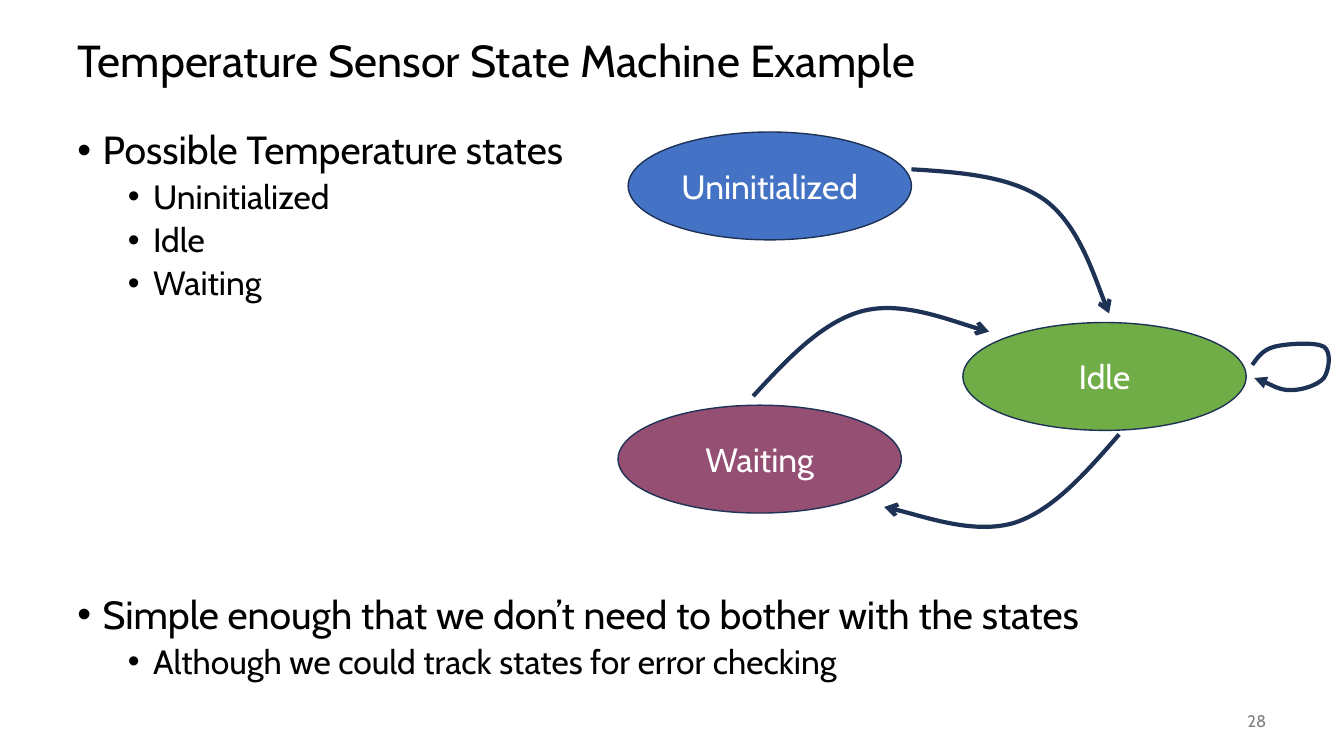
import pptx
import pptx.util
import pptx.dml.color
import pptx.enum.shapes
import pptx.enum.text
import pptx.oxml
import pptx.oxml.ns
from lxml import etree

Inches = pptx.util.Inches
Pt = pptx.util.Pt
RGBColor = pptx.dml.color.RGBColor
ALIGN = pptx.enum.text.PP_ALIGN
MIDDLE = pptx.enum.text.MSO_ANCHOR.MIDDLE
qn = pptx.oxml.ns.qn

BLACK = RGBColor(0x00, 0x00, 0x00)
WHITE = RGBColor(0xFF, 0xFF, 0xFF)
GRAY = RGBColor(0x80, 0x80, 0x80)
NAVY = RGBColor(0x1E, 0x32, 0x56)
BLUE = RGBColor(0x44, 0x72, 0xC4)
GREEN = RGBColor(0x70, 0xAD, 0x47)
PLUM = RGBColor(0x95, 0x4F, 0x72)

FONT = "Cabin"

POINTS = [
    ("Possible Temperature states", 0, 0),
    ("Uninitialized", 1, 5),
    ("Idle", 1, 5),
    ("Waiting", 1, 5),
    ("Simple enough that we don’t need to bother with the states", 0, 209),
    ("Although we could track states for error checking", 1, 5),
]

STATES = [
    ("Uninitialized", 6.23, 1.31, BLUE),
    ("Idle", 9.55, 3.2, GREEN),
    ("Waiting", 6.13, 4.02, PLUM),
]

CURVES = [
    ("arrow", [(9.04, 1.68), (9.54, 1.71), (10.04, 1.75), (10.37, 1.99),
               (10.69, 2.23), (10.9, 2.87), (11, 3.11)]),
    ("arrow", [(11.1, 4.31), (10.77, 4.69), (10.44, 5.07), (10.05, 5.19),
               (9.66, 5.3), (9.03, 5.08), (8.77, 5.03)]),
    ("arrow", [(7.47, 3.93), (7.81, 3.56), (8.15, 3.2), (8.54, 3.09),
               (8.93, 2.98), (9.56, 3.23), (9.81, 3.29)]),
    ("triangle", [(12.42, 3.62), (12.47, 3.55), (12.52, 3.47), (12.64, 3.44),
                  (12.75, 3.41), (13.05, 3.39), (13.13, 3.44),
                  (13.21, 3.49), (13.18, 3.68), (13.13, 3.75),
                  (13.07, 3.82), (12.92, 3.87), (12.8, 3.87),
                  (12.69, 3.87), (12.54, 3.78), (12.44, 3.75)]),
]


def style(para, size, color, align=ALIGN.LEFT):
    para.alignment = align
    for run in para.runs:
        run.font.name = FONT
        run.font.size = Pt(size)
        run.font.color.rgb = color


def add_box(slide, left, top, width, height):
    box = slide.shapes.add_textbox(
        Inches(left), Inches(top), Inches(width), Inches(height))
    box.text_frame.word_wrap = True
    return box.text_frame


def add_label(slide, text, place, size, color, align, pitch):
    frame = add_box(slide, *place)
    frame.vertical_anchor = MIDDLE
    frame.text = text
    para = frame.paragraphs[0]
    para.line_spacing = pitch
    style(para, size, color, align)


def add_bullet(para, level):
    props = para._p.get_or_add_pPr()
    props.set("marL", str(Inches(0.25 + 0.5 * level)))
    props.set("indent", str(Inches(-0.25)))
    font = etree.SubElement(props, qn("a:buFont"))
    font.set("typeface", "Arial")
    mark = etree.SubElement(props, qn("a:buChar"))
    mark.set("char", "•")


def add_list(slide, items):
    frame = add_box(slide, 0.67, 1.25, 12, 5.86)
    frame.text = "\n".join(text for text, _, _ in items)
    for para, (_, level, space) in zip(frame.paragraphs, items):
        add_bullet(para, level)
        para.level = level
        para.line_spacing = 0.9
        para.space_before = Pt(space)
        style(para, 28 - 4 * level, BLACK)


def add_state(slide, name, left, top, fill):
    oval = slide.shapes.add_shape(
        pptx.enum.shapes.MSO_SHAPE.OVAL,
        Inches(left), Inches(top), Inches(2.81), Inches(1.07))
    oval.shadow.inherit = False
    oval.fill.solid()
    oval.fill.fore_color.rgb = fill
    oval.line.color.rgb = NAVY
    oval.line.width = Pt(1)
    frame = oval.text_frame
    frame.vertical_anchor = MIDDLE
    frame.text = name
    style(frame.paragraphs[0], 24, WHITE, ALIGN.CENTER)


def bend(curve):
    legs = list(curve._element.iter(qn("a:lnTo")))
    for first in range(0, len(legs), 3):
        group = legs[first:first + 3]
        cubic = etree.Element(qn("a:cubicBezTo"))
        group[0].addprevious(cubic)
        for leg in group:
            cubic.append(leg[0])
            leg.getparent().remove(leg)


def add_curve(slide, head, knots):
    start, *rest = [(Inches(x), Inches(y)) for x, y in knots]
    pen = slide.shapes.build_freeform(*start)
    pen.add_line_segments(rest, close=False)
    curve = pen.convert_to_shape()
    bend(curve)
    curve.shadow.inherit = False
    curve.fill.background()
    curve.line.color.rgb = NAVY
    curve.line.width = Pt(3)
    tail = etree.SubElement(curve.line._get_or_add_ln(), qn("a:tailEnd"))
    tail.set("type", head)


def main():
    deck = pptx.Presentation()
    deck.slide_width = Inches(13.33)
    deck.slide_height = Inches(7.5)
    slide = deck.slides.add_slide(deck.slide_layouts[6])
    add_label(slide, "Temperature Sensor State Machine Example",
              (0.67, 0.25, 12, 0.75), 32, BLACK, ALIGN.LEFT, 0.9)
    add_list(slide, POINTS)
    add_label(slide, "28", (11.66, 6.95, 1, 0.4), 12, GRAY, ALIGN.RIGHT, 1.0)
    for state in STATES:
        add_state(slide, *state)
    for curve in CURVES:
        add_curve(slide, *curve)
    deck.save("out.pptx")


if __name__ == "__main__":
    main()
